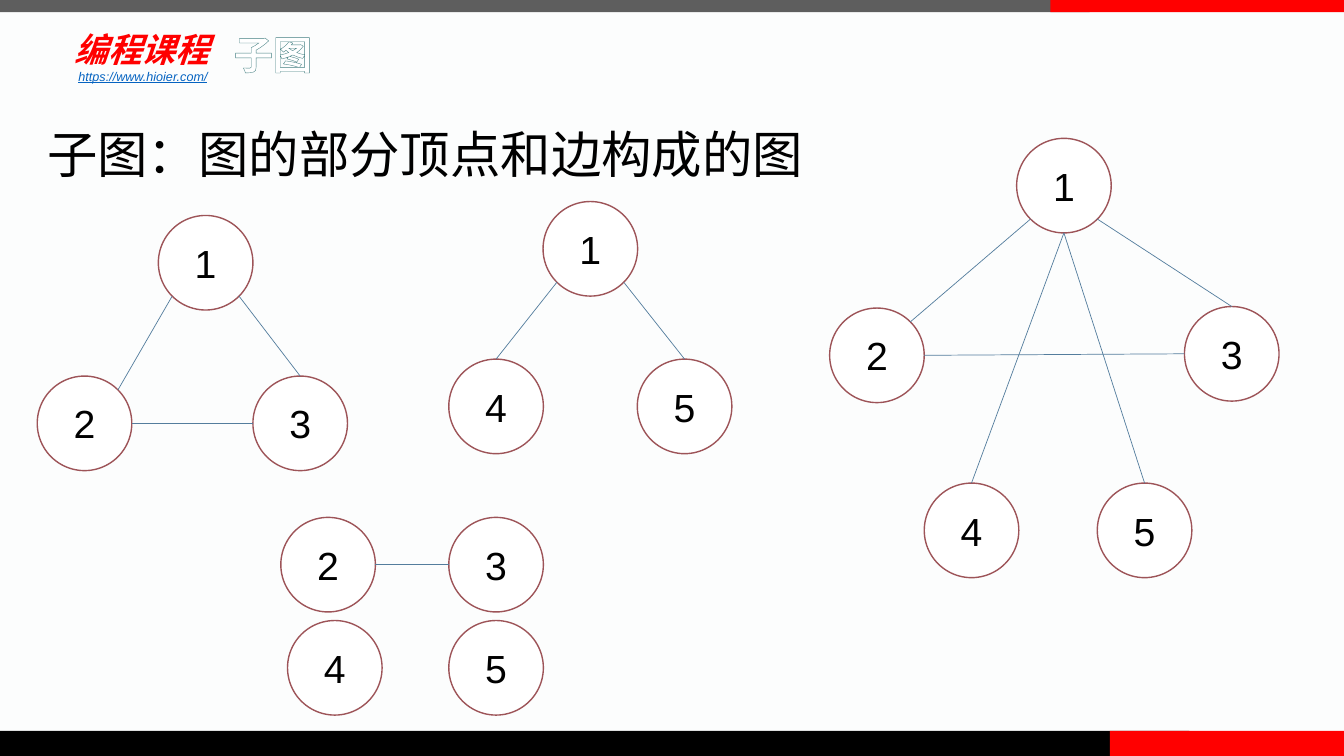
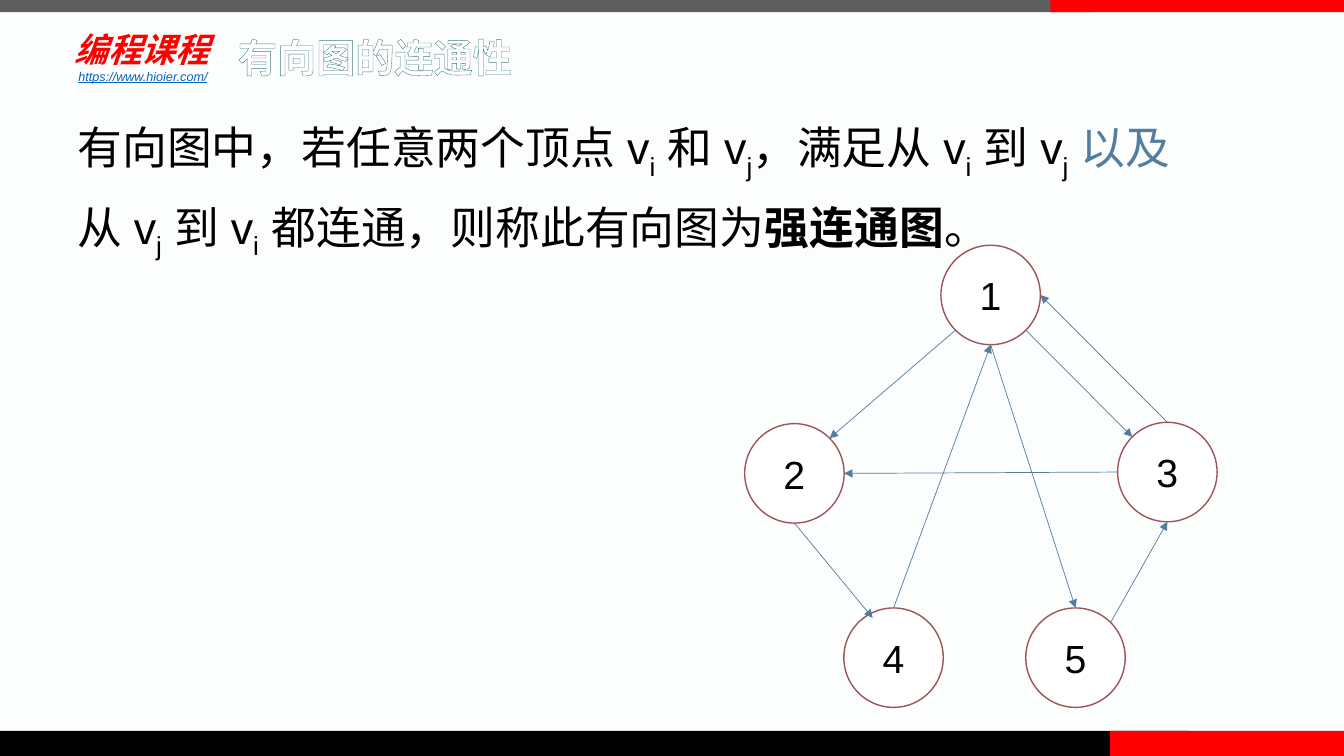
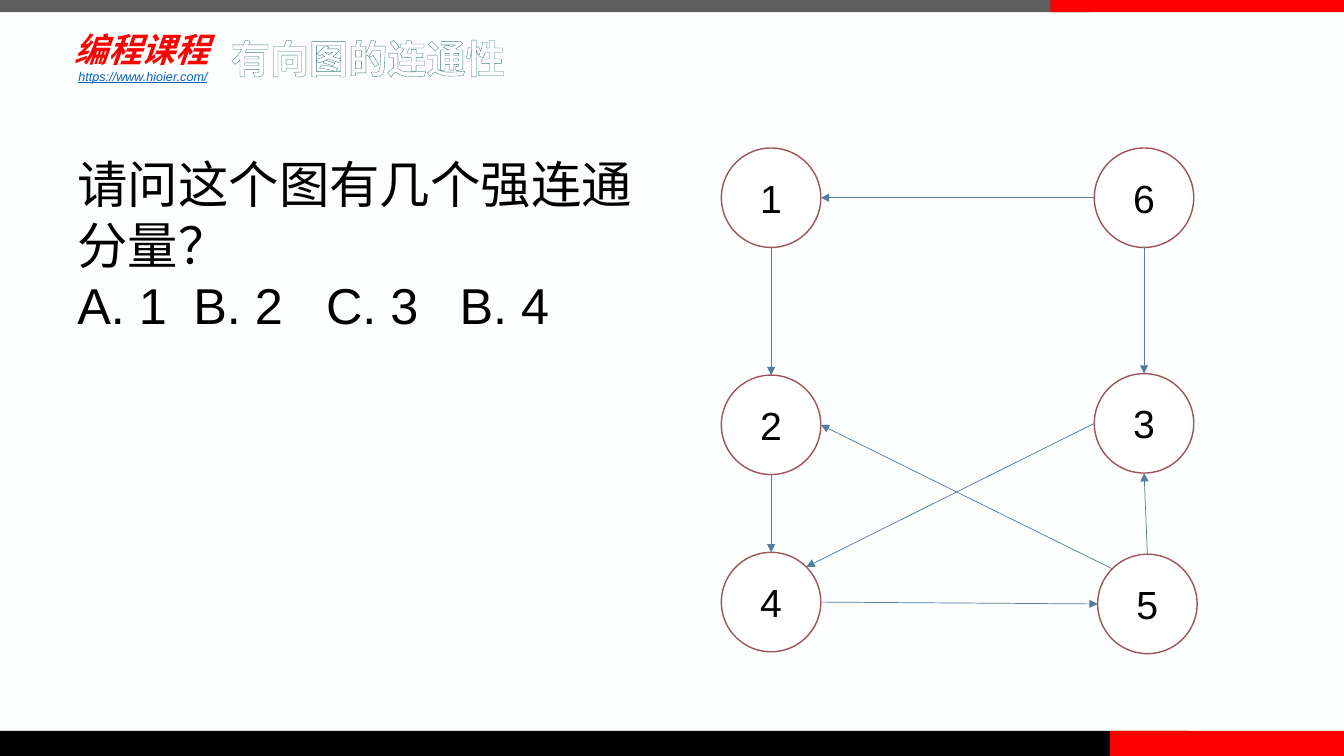
from dataclasses import dataclass
from math import sqrt

from lxml.etree import SubElement
from pptx import Presentation
from pptx.dml.color import RGBColor
from pptx.enum.shapes import MSO_CONNECTOR, MSO_SHAPE
from pptx.enum.text import MSO_ANCHOR, PP_ALIGN
from pptx.oxml.ns import qn
from pptx.util import Inches, Pt

# The slide is a grid of 80 columns by 45 rows of square cells
CELL = Inches(1) / 6
COLUMNS, ROWS = 80, 45


@dataclass(frozen=True)
class Theme:
    background: str = "FCFDFD"
    gray: str = "5E5E5E"
    black: str = "000000"
    white: str = "FFFFFF"
    red: str = "FF0000"
    link: str = "0563C1"
    title_outline: str = "437F81"
    node_line: str = "9D5458"
    edge: str = "547D9D"
    font: str = "Arial"
    brand_font: str = "Lato"
    title_size: int = 28
    brand_size: int = 24
    link_size: int = 9
    node_size: int = 28
    body_size: int = 36
    definition_size: int = 32
    edge_width: float = 0.5
    node_width: float = 1


THEME = Theme()

# Points on a circle as shares of its radius; "IN" lies just inside the rim
DIAGONAL = 1 / sqrt(2)
SITES = {
    "N": (0, -1), "S": (0, 1), "W": (-1, 0), "E": (1, 0),
    "NW": (-DIAGONAL, -DIAGONAL), "NE": (DIAGONAL, -DIAGONAL),
    "SW": (-DIAGONAL, DIAGONAL), "SE": (DIAGONAL, DIAGONAL),
    "IN": (-0.42, -0.8),
}


def cells(*counts):
    return [round(count * CELL) for count in counts]


def color(value):
    return RGBColor.from_string(value)


def add_text(paragraph, text, size=THEME.body_size, font=THEME.font, fill=THEME.black,
             bold=False, italic=False, underline=False, baseline=0, outline=None):
    """Add one formatted run to a paragraph."""
    run = paragraph.add_run()
    run.text = text
    run.font.size = Pt(size)
    run.font.name = font
    run.font.bold, run.font.italic, run.font.underline = bold, italic, underline
    run.font.color.rgb = color(fill)
    properties = run.font._element
    east_asian = SubElement(properties, qn("a:ea"), typeface=THEME.brand_font)
    properties.find(qn("a:latin")).addnext(east_asian)
    if baseline:
        properties.set("baseline", str(baseline * 1000))
    if outline:
        line = SubElement(properties, qn("a:ln"), w="6600")
        paint = SubElement(line, qn("a:solidFill"))
        SubElement(paint, qn("a:srgbClr"), val=outline)
        properties.insert(0, line)


class Deck:
    def __init__(self, theme):
        self.theme = theme
        self.presentation = Presentation()
        self.presentation.slide_width, self.presentation.slide_height = cells(COLUMNS, ROWS)
        background = self.presentation.slide_master.background.fill
        background.solid()
        background.fore_color.rgb = color(theme.background)
        self.slide = None

    def new_slide(self, title, left, top, width):
        """Start a slide with bands, brand and an outlined title."""
        theme = self.theme
        self.slide = self.presentation.slides.add_slide(self.presentation.slide_layouts[6])
        # Top and bottom bands
        self.band(0, 0, 64.86, 0.72, theme.gray)
        self.band(0, 43.5, 70.8, 1.5, theme.black)
        self.band(66.06, 43.5, COLUMNS - 66.06, 1.5, theme.red)
        self.band(62.52, 0, COLUMNS - 62.52, 0.72, theme.red)
        # Brand name and address
        self.text_box(4.08, 1.38, 11.1, 3.12, [["编程课程"]], anchor=MSO_ANCHOR.MIDDLE,
                      insets=(0.36, 0.36), size=theme.brand_size, font=theme.brand_font,
                      fill=theme.red, bold=True, italic=True)
        self.text_box(4.08, 3.78, 40, 1.5, [["https://www.hioier.com/"]],
                      size=theme.link_size, fill=theme.link, italic=True, underline=True)
        # Title
        self.text_box(left, top, width, 4, [[title]], anchor=MSO_ANCHOR.BOTTOM,
                      insets=(0.48, 0.24), size=theme.title_size, fill=theme.white,
                      bold=True, outline=theme.title_outline)

    def band(self, left, top, width, height, fill):
        shape = self.slide.shapes.add_shape(MSO_SHAPE.RECTANGLE,
                                            *cells(left, top, width, height))
        shape.shadow.inherit = False
        shape.fill.solid()
        shape.fill.fore_color.rgb = color(fill)
        shape.line.fill.background()

    def text_box(self, left, top, width, height, paragraphs, anchor=MSO_ANCHOR.TOP,
                 insets=(0.6, 0.3), spacing=None, tabs=(), **style):
        """Each paragraph is a list of texts or (text, format) pairs; "\\n" breaks a line."""
        box = self.slide.shapes.add_textbox(*cells(left, top, width, height))
        frame = box.text_frame
        frame.word_wrap = True
        frame.vertical_anchor = anchor
        frame.margin_left, frame.margin_top = cells(*insets)
        frame.margin_right, frame.margin_bottom = cells(*insets)
        for index, pieces in enumerate(paragraphs):
            paragraph = frame.add_paragraph() if index else frame.paragraphs[0]
            if tabs:
                stops = SubElement(paragraph._p.get_or_add_pPr(), qn("a:tabLst"))
                for position in cells(*tabs):
                    SubElement(stops, qn("a:tab"), pos=str(position), algn="l")
            if spacing:
                paragraph.line_spacing = spacing
            for piece in pieces:
                if piece == "\n":
                    paragraph.add_line_break()
                    continue
                text, changes = (piece, {}) if isinstance(piece, str) else piece
                add_text(paragraph, text, **{**style, **changes})

    def graph(self, nodes, edges, diameter, directed=False):
        """Draw circles at their centres, then edges written like 1SW-2NE."""
        shapes = self.slide.shapes.add_group_shape().shapes
        for label, (x, y) in nodes.items():
            self.node(shapes, label, x, y, diameter)
        for edge in edges.split():
            ends = []
            for end in edge.split("-"):
                x, y = nodes[end[0]]
                across, down = SITES[end[1:]]
                ends += [x + across * diameter / 2, y + down * diameter / 2]
            self.edge(shapes, ends, directed)

    def node(self, shapes, label, x, y, diameter):
        shape = shapes.add_shape(MSO_SHAPE.OVAL, *cells(x - diameter / 2, y - diameter / 2,
                                                        diameter, diameter))
        shape.shadow.inherit = False
        shape.fill.solid()
        shape.fill.fore_color.rgb = color(self.theme.white)
        shape.line.color.rgb = color(self.theme.node_line)
        shape.line.width = Pt(self.theme.node_width)
        shape.text_frame.vertical_anchor = MSO_ANCHOR.MIDDLE
        paragraph = shape.text_frame.paragraphs[0]
        paragraph.alignment = PP_ALIGN.CENTER
        add_text(paragraph, label, size=self.theme.node_size)

    def edge(self, shapes, ends, directed):
        connector = shapes.add_connector(MSO_CONNECTOR.STRAIGHT, *cells(*ends))
        connector.line.color.rgb = color(self.theme.edge)
        connector.line.width = Pt(self.theme.edge_width)
        if directed:
            SubElement(connector.line._get_or_add_ln(), qn("a:tailEnd"), type="triangle")
        SubElement(connector._element.spPr, qn("a:effectLst"))


def subgraph_slide(deck):
    deck.new_slide("子图", 13.44, 0.84, 15.36)
    deck.text_box(2.22, 4.86, 46.8, 6.42, [["子图：图的部分顶点和边构成的图"]], spacing=1.6)
    diameter = 5.63
    # Whole graph
    deck.graph({"1": (63.33, 11.05), "2": (52.2, 21.15), "3": (73.32, 21.06),
                "4": (57.83, 31.57), "5": (68.13, 31.57)},
               "1SW-2NE 1S-5N 1SE-3N 4N-1S 3W-2E", diameter)
    # Subgraphs
    deck.graph({"1": (12.24, 15.64), "2": (5.03, 25.2), "3": (17.87, 25.2)},
               "1SW-2NE 1SE-3N 3W-2E", diameter)
    deck.graph({"1": (35.14, 14.81), "4": (29.53, 24.19), "5": (40.75, 24.19)},
               "1SE-5N 4N-1SW", diameter)
    deck.graph({"2": (19.53, 33.61), "3": (29.53, 33.61),
                "4": (19.93, 39.75), "5": (29.53, 39.75)}, "3W-2E", diameter)


def connectivity_slide(deck):
    deck.new_slide("有向图的连通性", 13.68, 1.02, 19.86)
    # Definition
    sub_i, sub_j = [(letter, {"baseline": -25}) for letter in "ij"]
    deck.text_box(4.02, 5.76, 71.94, 9, [[
        "有向图中，若任意两个顶点 v", sub_i, " 和 v", sub_j, "，满足从 v", sub_i,
        " 到 v", sub_j, (" 以及", {"fill": deck.theme.edge}), "\n",
        "从 v", sub_j, " 到 v", sub_i, " 都连通，则称此有向图为",
        ("强连通图", {"bold": True}), "。",
    ]], spacing=1.3, size=deck.theme.definition_size)
    # Strongly connected graph
    deck.graph({"1": (58.97, 17.56), "2": (47.29, 28.18), "3": (69.49, 28.1),
                "4": (53.19, 39.15), "5": (64.02, 39.15)},
               "1SW-2NE 1S-5N 1SE-3NW 4N-1S 3W-2E 3N-1E 2S-4IN 5NE-3S", 5.92, directed=True)


def question_slide(deck):
    deck.new_slide("有向图的连通性", 13.26, 1.08, 23.28)
    # Directed graph
    left, right = 45.9, 68.1
    deck.graph({"1": (left, 11.77), "6": (right, 11.77), "2": (left, 25.29),
                "3": (right, 25.2), "4": (left, 35.84), "5": (68.3, 35.95)},
               "1S-2N 5N-3S 4E-5W 3W-4NE 6W-1E 2S-4N 6S-3N 5NW-2E", 5.92, directed=True)
    # Question and choices
    deck.text_box(4.02, 8.82, 36, 11.52,
                  [["请问这个图有几个强连通分量？"], ["A. 1\tB. 2\tC. 3\tB. 4"]],
                  tabs=(6.9, 14.8, 22.75))


def main():
    deck = Deck(THEME)
    subgraph_slide(deck)
    connectivity_slide(deck)
    question_slide(deck)
    deck.presentation.save("out.pptx")


if __name__ == "__main__":
    main()
